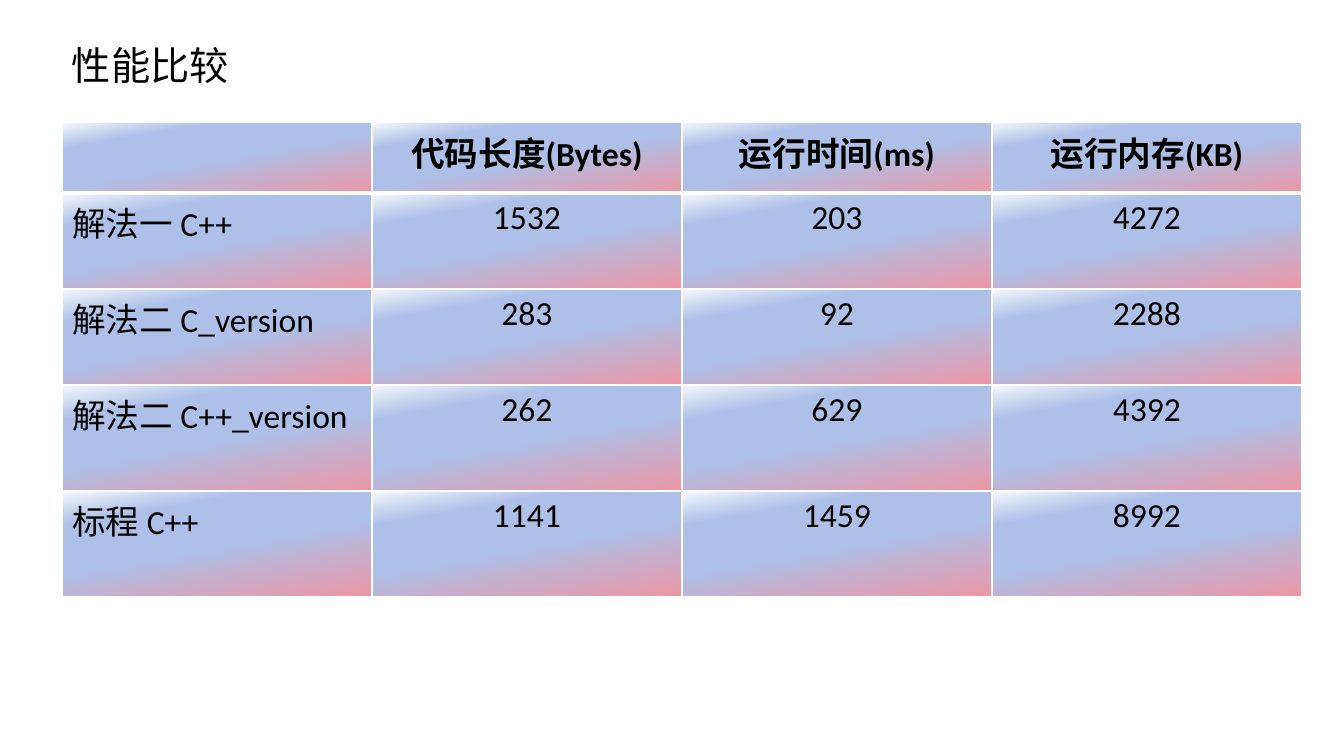
from dataclasses import dataclass

from lxml import etree
from pptx import Presentation
from pptx import util as u
from pptx.dml.color import RGBColor
from pptx.enum import text
from pptx.oxml import ns

SCALE = 914400 / 100.8  # EMU in one px
FONT, INK, WHITE = "Calibri", "000000", "FFFFFF"
STOPS = [(0, "F6F8FC"), (22, "ADC0E8"), (52, "ADC0E8"), (100, "EC97A5")]
ANGLE = 80


@dataclass
class Row:
    high: int
    cells: list[str]


ROWS = [
    Row(71, ["", "代码长度(Bytes)", "运行时间(ms)", "运行内存(KB)"]),
    Row(96, ["解法一 C++", "1532", "203", "4272"]),
    Row(96, ["解法二 C_version", "283", "92", "2288"]),
    Row(106, ["解法二 C++_version", "262", "629", "4392"]),
    Row(106, ["标程 C++", "1141", "1459", "8992"]),
]
COLS, WIDE = 4, 310


def px(n: int) -> u.Emu:
    return u.Emu(round(n * SCALE))


def color(code: str) -> RGBColor:
    return RGBColor.from_string(code)


def style(font, size: int, bold: bool = False) -> None:
    font.name, font.size, font.bold = FONT, u.Pt(size), bold
    font.color.rgb = color(INK)


def sub(node, tag: str, **attrs):
    return etree.SubElement(node, ns.qn(tag), {k: str(v) for k, v in attrs.items()})


def paint(cell, top: int, base: int) -> None:
    """Give a cell white borders (widths in points) and the gradient fill."""
    props = cell._tc.get_or_add_tcPr()
    for side, width in (("L", 1), ("R", 1), ("T", top), ("B", base)):
        line = sub(props, f"a:ln{side}", w=u.Pt(width))
        sub(sub(line, "a:solidFill"), "a:srgbClr", val=WHITE)
    grad = sub(props, "a:gradFill", rotWithShape=1)
    stops = sub(grad, "a:gsLst")
    for pos, code in STOPS:
        sub(sub(stops, "a:gs", pos=pos * 1000), "a:srgbClr", val=code)
    sub(grad, "a:lin", ang=ANGLE * 60000, scaled=0)


def add_grid(slide) -> None:
    high = sum(row.high for row in ROWS)
    grid = slide.shapes.add_table(
        len(ROWS), COLS, px(62), px(122), px(WIDE * COLS), px(high)).table
    grid.first_row = grid.horz_banding = False
    for col in grid.columns:
        col.width = px(WIDE)
    for r, row in enumerate(ROWS):
        grid.rows[r].height = px(row.high)
        for c, words in enumerate(row.cells):
            cell = grid.cell(r, c)
            # A thick rule parts the header from the body
            paint(cell, top=3 if r == 1 else 1, base=3 if r == 0 else 1)
            cell.text_frame.text = words
            para = cell.text_frame.paragraphs[0]
            if c > 0:
                para.alignment = text.PP_ALIGN.CENTER
            style(para.font, 24, bold=r == 0)
            for run in para.runs:
                style(run.font, 24, bold=r == 0)


def add_title(slide) -> None:
    frame = slide.shapes.add_textbox(px(62), px(36), px(592), px(57)).text_frame
    frame.word_wrap = True
    frame.auto_size = text.MSO_AUTO_SIZE.SHAPE_TO_FIT_TEXT
    frame.text = "性能比较"
    style(frame.paragraphs[0].runs[0].font, 28)


def main() -> None:
    deck = Presentation()
    deck.slide_width, deck.slide_height = px(1344), px(756)
    slide = deck.slides.add_slide(deck.slide_layouts[6])
    add_grid(slide)
    add_title(slide)
    deck.save("out.pptx")


if __name__ == "__main__":
    main()
